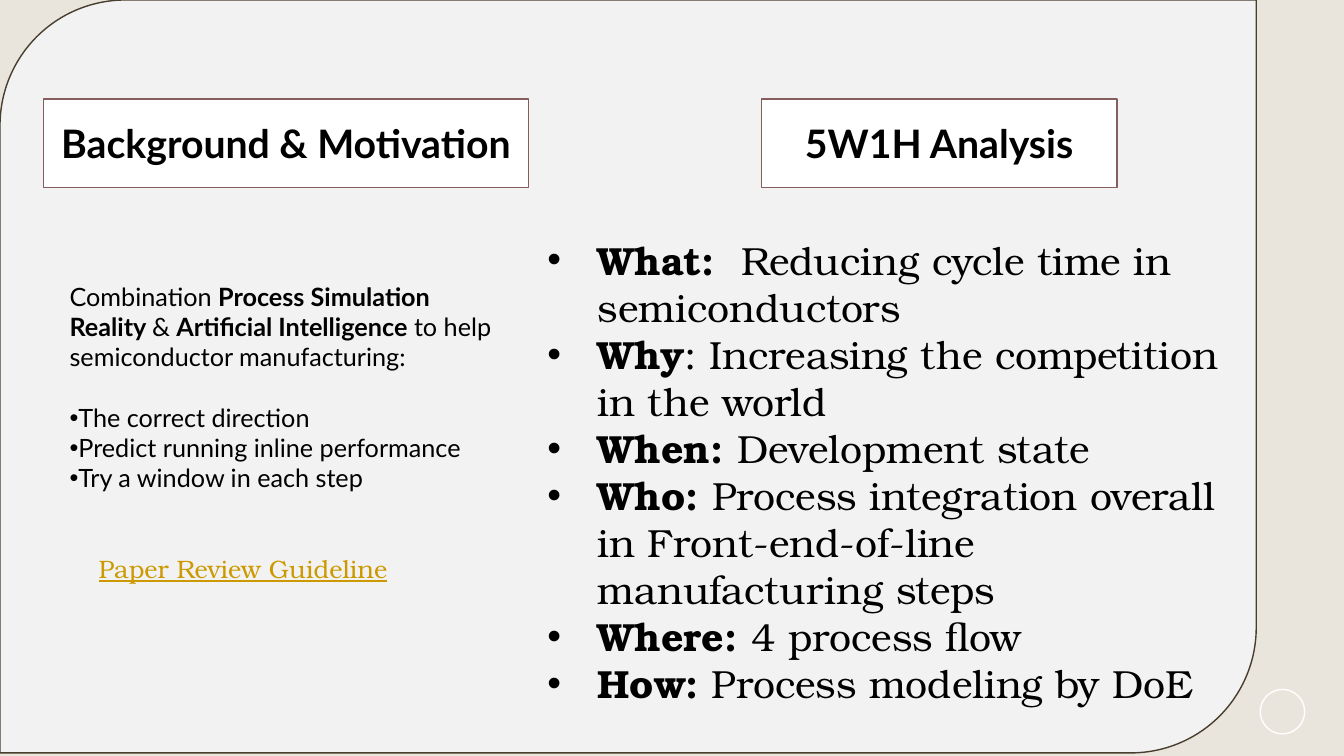
from dataclasses import dataclass

from lxml.etree import SubElement
from pptx import Presentation
from pptx.dml.color import RGBColor
from pptx.enum.shapes import MSO_SHAPE as Shape
from pptx.enum.text import MSO_ANCHOR as Anchor, MSO_AUTO_SIZE as AutoSize, PP_ALIGN as Align
from pptx.oxml.ns import qn
from pptx.util import Inches, Pt

COLORS = {"page": "E9E5DC", "panel": "F2F2F2", "panel_line": "473E2E", "white": "FFFFFF",
          "heading_line": "855D5D", "text": "000000", "link": "CC9900"}
SANS, SERIF = "Lato", "TeX Gyre Bonum"

# Each paragraph is a list of (text, bold) runs
MOTIVATION = [("Combination ", False), ("Process Simulation Reality ", True), ("& ", False),
              ("Artificial Intelligence", True),
              (" to help semiconductor manufacturing:", False)]
GOALS = ["The correct direction", "Predict running inline performance",
         "Try a window in each step"]
QUESTIONS = [
    ("What:  ", "Reducing cycle time in semiconductors"),
    ("Why", ": Increasing the competition in the world"),
    ("When: ", "Development state"),
    ("Who: ", "Process integration overall in Front-end-of-line manufacturing steps"),
    ("Where: ", "4 process flow"),
    ("How: ", "Process modeling by DoE"),
]


@dataclass
class Box:
    left: int
    top: int
    width: int
    height: int

    def share(self, left, top, width, height):
        """A box inside this one, in percent of its size."""
        return Box(int(self.left + self.width * left / 100),
                   int(self.top + self.height * top / 100),
                   int(self.width * width / 100), int(self.height * height / 100))

    def place(self, sp):
        sp.left, sp.top, sp.width, sp.height = self.bounds()

    def bounds(self):
        return self.left, self.top, self.width, self.height


def rgb(name):
    return RGBColor.from_string(COLORS[name])


def paint(sp, line, fill=None):
    if fill:
        sp.fill.solid()
        sp.fill.fore_color.rgb = rgb(fill)
    else:
        sp.fill.background()
    sp.line.color.rgb = rgb(line)
    sp.line.width = Pt(1)


def add_shape(slide, kind, box, line, fill=None):
    sp = slide.shapes.add_shape(kind, *box.bounds())
    sp.shadow.inherit = False
    paint(sp, line, fill)
    return sp


def format_run(r, face, size, bold=False, color="text"):
    r.font.name, r.font.size, r.font.bold = face, Pt(size), bold
    r.font.color.rgb = rgb(color)


def write_heading(sp, text):
    paint(sp, "heading_line", "white")
    tf = sp.text_frame
    tf.text = text
    tf.word_wrap = True
    tf.auto_size = AutoSize.NONE
    tf.vertical_anchor = Anchor.MIDDLE
    p = tf.paragraphs[0]
    p.alignment = Align.CENTER
    format_run(p.runs[0], SANS, 28, True)


def set_bullet(p, indent, bullet):
    pPr = p._p.get_or_add_pPr()
    pPr.set("marL", str(indent))
    pPr.set("indent", str(-indent))
    if bullet:
        SubElement(pPr, qn("a:buFont")).set("typeface", "Arial")
        SubElement(pPr, qn("a:buChar")).set("char", "•")
    else:
        SubElement(pPr, qn("a:buNone"))


def write_list(sp, paragraphs, face, size, indent=0, plain=0):
    """Fill a body placeholder; the first `plain` paragraphs have no bullet."""
    tf = sp.text_frame
    tf.word_wrap = True
    tf.auto_size = AutoSize.NONE
    for i, runs in enumerate(paragraphs):
        p = tf.paragraphs[0] if i == 0 else tf.add_paragraph()
        set_bullet(p, indent, i >= plain)
        # One line of space parts the plain text from the bullets
        p.space_before = Pt(size * 1.2) if i and i == plain else Pt(0)
        for text, bold in runs:
            r = p.add_run()
            r.text = text
            format_run(r, face, size, bold)


def build_background(slide, page):
    slide.background.fill.solid()
    slide.background.fill.fore_color.rgb = rgb("page")
    ring = add_shape(slide, Shape.OVAL, page.share(93.77, 91.2, 3.3, 5.87), "white")
    panel = add_shape(slide, Shape.ROUND_2_DIAG_RECTANGLE, page.share(0, 0, 93.47, 99.6),
                      "panel_line", "panel")
    # Send both behind the placeholders
    for sp in (panel, ring):
        slide.shapes._spTree.insert(2, sp._element)


def build_motivation(slide, box):
    title, body = slide.shapes.title, slide.placeholders[1]
    box.share(0, 0, 100, 14.38).place(title)
    write_heading(title, "Background & Motivation")

    box.share(3.33, 28.76, 92.52, 41.18).place(body)
    goals = [[(goal, False)] for goal in GOALS]
    write_list(body, [MOTIVATION] + goals, SANS, 18, plain=1)

    # Underlined reference line
    sp = slide.shapes.add_textbox(*box.share(9.36, 72.88, 74.01, 6.54).bounds())
    tf = sp.text_frame
    tf.word_wrap = True
    tf.text = "Paper Review Guideline"
    r = tf.paragraphs[0].runs[0]
    format_run(r, SERIF, 18, color="link")
    r.font.underline = True


def build_analysis(slide, box):
    heading = add_shape(slide, Shape.RECTANGLE, box.share(30.54, 0, 48.56, 14.38),
                        "heading_line", "white")
    write_heading(heading, "5W1H Analysis")

    body = slide.placeholders[2]
    box.share(0, 21.41, 100, 78.59).place(body)
    answers = [[(word, True), (answer, False)] for word, answer in QUESTIONS]
    write_list(body, answers, SERIF, 28, indent=Inches(0.5))


def main():
    prs = Presentation()
    prs.slide_width, prs.slide_height = Inches(13.33), Inches(7.5)
    slide = prs.slides.add_slide(prs.slide_layouts[3])
    page = Box(0, 0, prs.slide_width, prs.slide_height)
    build_background(slide, page)
    build_motivation(slide, page.share(3.23, 13.07, 36.08, 81.6))
    build_analysis(slide, page.share(39.98, 13.07, 54.54, 81.6))
    prs.save("out.pptx")


if __name__ == "__main__":
    main()
